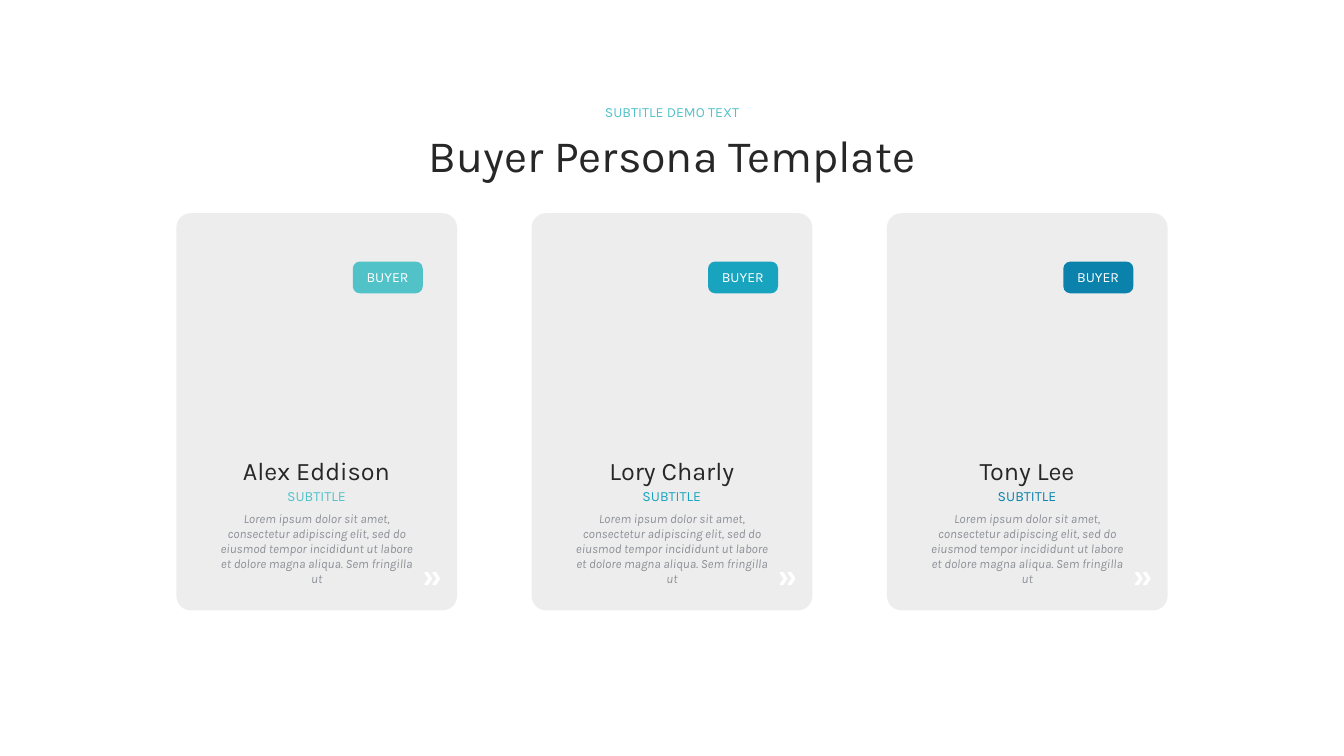
from lxml import etree
from pptx import Presentation
from pptx import util as u
from pptx.dml import color
from pptx.enum import shapes, text
from pptx.oxml import ns

INK, GREY, WHITE, PANEL, TEAL = "262726", "8C9097", "FFFFFF", "DDDDDD", "52C2C9"
LOREM = ("Lorem ipsum dolor sit amet, consectetur adipiscing elit, sed do eiusmod "
         "tempor incididunt ut labore et dolore magna aliqua. Sem fringilla ut")
BUYERS = [("Alex Eddison", TEAL), ("Lory Charly", "18A4BE"), ("Tony Lee", "0B82AC")]
CARD_LEFT, CARD_STEP = 3.5, 7.05
CHEVRON = [(0, 0.02), (0.02, 0), (0.06, 0), (0.08, 0.01), (0.15, 0.12), (0.15, 0.14),
           (0.08, 0.25), (0.06, 0.26), (0.02, 0.26), (0, 0.25), (0, 0.24), (0.08, 0.13)]


def rgb(value):
    return color.RGBColor.from_string(value)


class Deck:
    """Holds the slide and its style, and draws each kind of element."""

    font = "Karla"
    inset = u.Inches(0.1)

    def __init__(self, width, height):
        self.prs = Presentation()
        self.prs.slide_width, self.prs.slide_height = u.Inches(width), u.Inches(height)
        self.slide = self.prs.slides.add_slide(self.prs.slide_layouts[5])

    def fill_text(self, holder, words, size, ink, italic=False):
        frame = holder.text_frame
        frame.word_wrap = True
        frame.auto_size = text.MSO_AUTO_SIZE.SHAPE_TO_FIT_TEXT
        frame.vertical_anchor = text.MSO_ANCHOR.TOP
        frame.margin_left = frame.margin_right = self.inset
        frame.margin_top = frame.margin_bottom = self.inset
        line = frame.paragraphs[0]
        line.alignment = text.PP_ALIGN.CENTER
        run = line.add_run()
        run.text = words
        run.font.name, run.font.size = self.font, u.Pt(size)
        run.font.italic = italic
        run.font.color.rgb = rgb(ink)

    def title(self, box, words, size, ink):
        heading = self.slide.shapes.title
        heading.left, heading.top, heading.width, heading.height = map(u.Inches, box)
        self.fill_text(heading, words, size, ink)

    def label(self, box, words, size, ink, italic=False):
        holder = self.slide.shapes.add_textbox(*map(u.Inches, box))
        self.fill_text(holder, words, size, ink, italic)

    def paint(self, shape, fill, opacity=100):
        shape.shadow.inherit = False
        shape.fill.solid()
        shape.fill.fore_color.rgb = rgb(fill)
        shape.line.fill.background()
        if opacity < 100:
            tint = shape.element.spPr.find(".//" + ns.qn("a:srgbClr"))
            etree.SubElement(tint, ns.qn("a:alpha")).set("val", str(opacity * 1000))

    def panel(self, box, corner, fill, opacity=100):
        kind = shapes.MSO_SHAPE.ROUNDED_RECTANGLE
        shape = self.slide.shapes.add_shape(kind, *map(u.Inches, box))
        shape.adjustments[0] = corner
        self.paint(shape, fill, opacity)

    def chevrons(self, left, top, gap, fill):
        first, second = ([(u.Inches(left + shift + x), u.Inches(top + y)) for x, y in CHEVRON]
                         for shift in (0, gap))
        outline = self.slide.shapes.build_freeform(*first[0])
        outline.add_line_segments(first[1:], close=True)
        outline.move_to(*second[0])
        outline.add_line_segments(second[1:], close=True)
        self.paint(outline.convert_to_shape(), fill)


deck = Deck(26.67, 15)
deck.title((7.07, 2.43, 12.53, 1.28), "Buyer Persona Template", 64, INK)
deck.label((9.59, 1.96, 7.49, 0.54), "SUBTITLE DEMO TEXT", 20, TEAL)
for index, (name, accent) in enumerate(BUYERS):
    left = CARD_LEFT + index * CARD_STEP
    deck.panel((left, 4.23, 5.57, 7.88), 0.051, PANEL, 50)
    deck.panel((left + 3.5, 5.19, 1.39, 0.63), 0.222, accent)
    deck.label((left + 3.58, 5.23, 1.22, 0.54), "BUYER", 20, WHITE)
    deck.label((left + 1.19, 9.58, 3.18, 0.54), "SUBTITLE", 20, accent)
    deck.label((left + 1.19, 8.94, 3.18, 0.81), name, 36, INK)
    deck.chevrons(left + 4.92, 11.35, 0.16, WHITE)
    deck.label((left + 0.69, 10.03, 4.19, 1.72), LOREM, 18, GREY, italic=True)
deck.prs.save("out.pptx")
